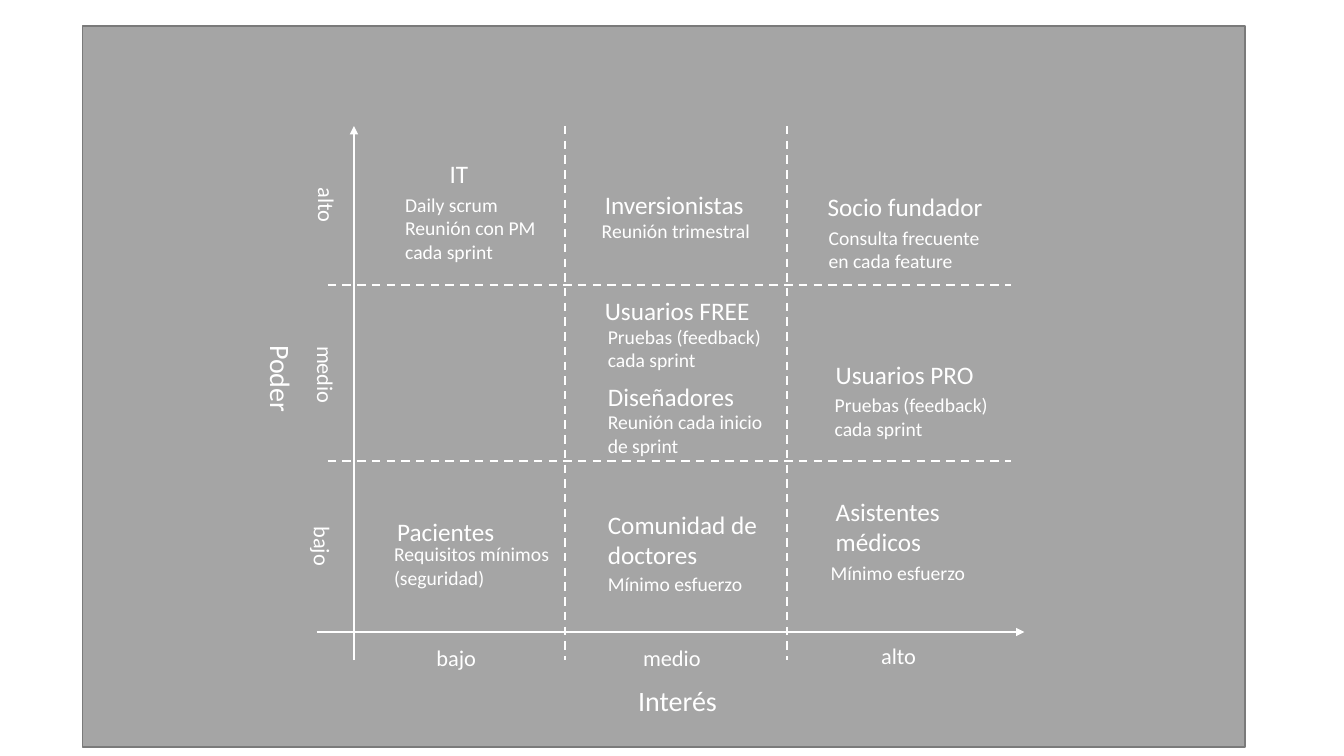
from lxml.etree import SubElement
from pptx import Presentation
from pptx.dml.color import RGBColor
from pptx.enum.dml import MSO_LINE_DASH_STYLE as Dash
from pptx.enum.shapes import MSO_CONNECTOR as Connector, MSO_SHAPE as Shape
from pptx.enum.text import MSO_AUTO_SIZE as AutoSize
from pptx.oxml.ns import qn
from pptx.util import Inches, Pt

GRAY = RGBColor(0xA5, 0xA5, 0xA5)
DARK_GRAY = RGBColor(0x7A, 0x7A, 0x7A)
WHITE = RGBColor(0xFF, 0xFF, 0xFF)

deck = Presentation()
deck.slide_width, deck.slide_height = Inches(13.33), Inches(7.5)
page = deck.slides.add_slide(deck.slide_layouts[6])


def add_line(x1, y1, x2, y2):
    line = page.shapes.add_connector(
        Connector.STRAIGHT, Inches(x1), Inches(y1), Inches(x2), Inches(y2))
    line.line.color.rgb = WHITE
    line.line.width = Pt(1.5)
    SubElement(line._element.spPr, qn("a:effectLst"))
    return line


def add_label(text, left, top, width, height, size, rotation=0):
    box = page.shapes.add_textbox(
        Inches(left), Inches(top), Inches(width), Inches(height))
    box.rotation = rotation
    frame = box.text_frame
    frame.word_wrap = True
    frame.auto_size = AutoSize.SHAPE_TO_FIT_TEXT
    frame.text = text
    font_format = {"name": "Calibri", "size": Pt(size)}
    for para in frame.paragraphs:
        for span in para.runs:
            for name, value in font_format.items():
                setattr(span.font, name, value)
            span.font.color.rgb = WHITE


panel = page.shapes.add_shape(
    Shape.RECTANGLE, Inches(0.82), Inches(0.26), Inches(11.53), Inches(7.15))
panel.shadow.inherit = False
panel.fill.solid()
panel.fill.fore_color.rgb = GRAY
panel.line.color.rgb = DARK_GRAY
panel.line.width = Pt(1)

for ends in [(3.51, 6.55, 3.51, 1.25), (3.14, 6.27, 10.16, 6.27)]:
    axis = add_line(*ends)
    SubElement(axis.line._get_or_add_ln(), qn("a:tailEnd"), type="triangle")

column_dividers = [(x, 1.25, x, 6.55) for x in (5.6, 7.81)]
row_dividers = [(3.25, y, 10.03, y) for y in (2.83, 4.57)]
for ends in column_dividers + row_dividers:
    add_line(*ends).line.dash_style = Dash.DASH

add_label("Poder", 1.76, 4.13, 2.05, 0.44, 20, 90)
add_label("Interés", 6.23, 6.73, 2.05, 0.44, 20)

stakeholders = [
    ("IT", 4.36, 1.52, 0.4),
    ("Inversionistas", 5.9, 1.83, 0.4),
    ("Socio fundador", 8.11, 1.85, 0.4),
    ("Usuarios FREE", 5.9, 2.88, 0.4),
    ("Diseñadores", 5.93, 3.73, 0.4),
    ("Usuarios PRO", 8.19, 3.52, 0.4),
    ("Pacientes", 3.84, 5.07, 0.4),
    ("Comunidad de doctores", 5.93, 5, 0.71),
    ("Asistentes médicos", 8.19, 4.87, 0.71),
]
for text, left, top, height in stakeholders:
    add_label(text, left, top, 2.05, height, 18)

actions = [
    ("Daily scrum\nReunión con PM cada sprint", 3.92, 1.86, 0.81),
    ("Reunión trimestral", 5.87, 2.12, 0.34),
    ("Consulta frecuente en cada feature", 8.12, 2.19, 0.57),
    ("Pruebas (feedback) cada sprint", 5.93, 3.17, 0.57),
    ("Reunión cada inicio de sprint", 5.93, 4.02, 0.57),
    ("Pruebas (feedback) cada sprint", 8.18, 3.85, 0.57),
    ("Requisitos mínimos (seguridad)", 3.81, 5.33, 0.57),
    ("Mínimo esfuerzo", 5.93, 5.62, 0.34),
    ("Mínimo esfuerzo", 8.14, 5.52, 0.34),
]
for text, left, top, height in actions:
    add_label(text, left, top, 1.9, height, 14)

levels = [
    ("bajo", 4.23, 6.34, 0.78, 0),
    ("medio", 6.28, 6.34, 0.94, 0),
    ("alto", 8.64, 6.32, 0.78, 0),
    ("bajo", 2.81, 5.33, 0.78, 90),
    ("medio", 2.78, 3.6, 0.9, 90),
    ("alto", 2.85, 1.97, 0.78, 90),
]
for text, left, top, width, rotation in levels:
    add_label(text, left, top, width, 0.37, 16, rotation)

deck.save("out.pptx")
